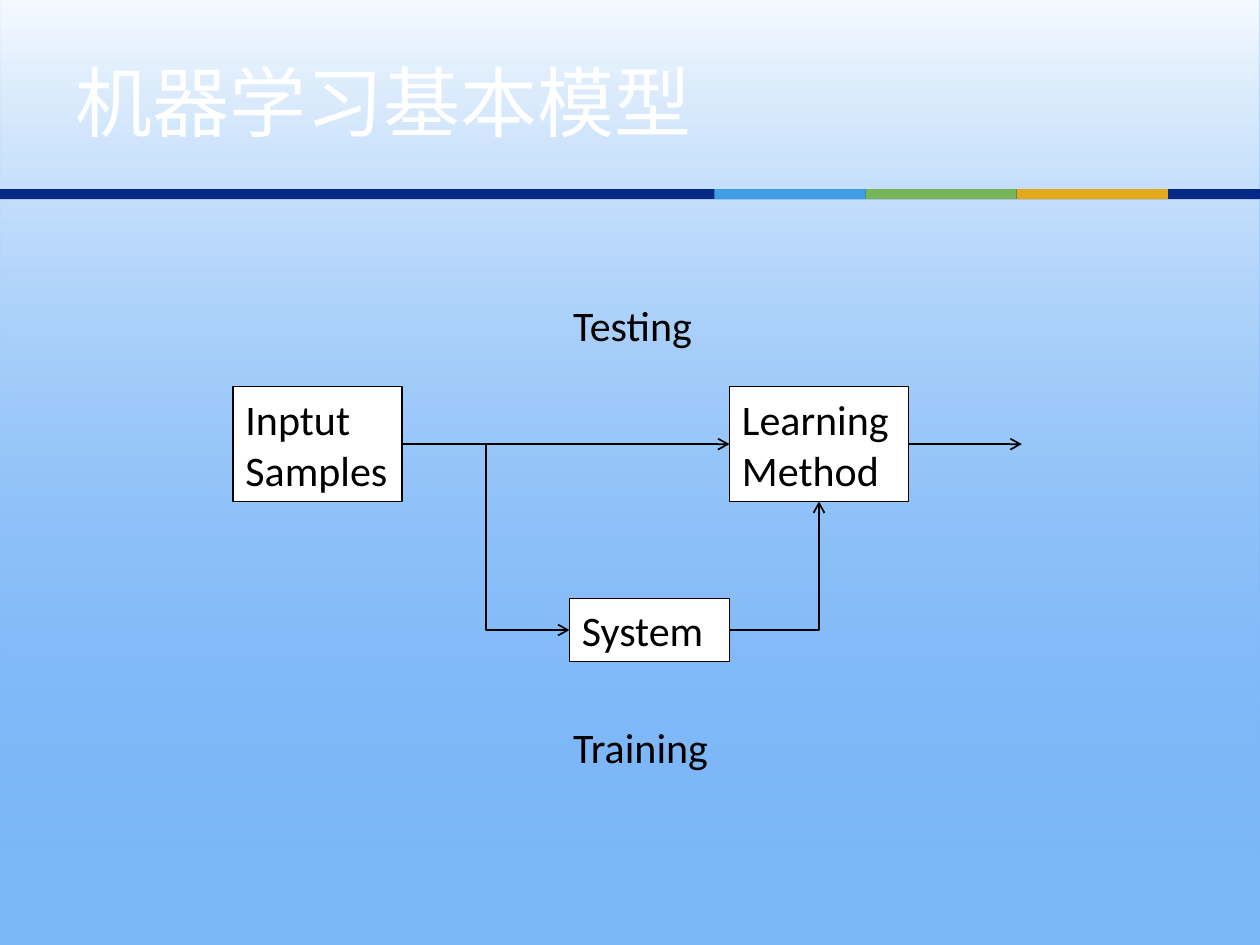
from dataclasses import dataclass

from lxml import etree
from pptx import Presentation
from pptx.dml.color import RGBColor as RGB
from pptx.enum.shapes import MSO_CONNECTOR as Link, MSO_SHAPE as Shape
from pptx.enum.text import MSO_ANCHOR as Anchor
from pptx.oxml.ns import qn
from pptx.util import Inches, Pt


@dataclass(frozen=True)
class Theme:
    sky: RGB = RGB.from_string("7CB7F8")
    white: RGB = RGB.from_string("FFFFFF")
    ink: RGB = RGB.from_string("000000")
    navy: RGB = RGB.from_string("042986")
    bands: tuple = tuple(map(RGB.from_string, ("3F9EE4", "77B559", "E4A81B")))
    font: str = "Calibri"
    title: Pt = Pt(44)
    body: Pt = Pt(24)
    frame: Pt = Pt(0.75)
    wire: Pt = Pt(1)


THEME = Theme()
TOP, LEFT, BOTTOM, RIGHT = range(4)  # connection sites of a rectangle


def add_rect(slide, box, fill=None):
    rect = slide.shapes.add_shape(Shape.RECTANGLE, *map(Inches, box))
    rect.shadow.inherit = False
    rect.line.fill.background()
    if fill is not None:
        rect.fill.solid()
        rect.fill.fore_color.rgb = fill
    return rect


def set_text(shape, text, size, color):
    frame = shape.text_frame
    frame.text = text
    frame.word_wrap = True
    para = frame.paragraphs[0]
    para.alignment = None
    font = para.runs[0].font
    font.name, font.size, font.color.rgb = THEME.font, size, color


def add_label(slide, box, text, size=THEME.body, color=THEME.ink):
    label = slide.shapes.add_textbox(*map(Inches, box))
    set_text(label, text, size, color)
    return label


def add_node(slide, box, text):
    node = add_rect(slide, box, THEME.white)
    node.line.color.rgb = THEME.ink
    node.line.width = THEME.frame
    set_text(node, text, THEME.body, THEME.ink)
    node.text_frame.paragraphs[0].alignment = 1
    return node


def add_arrow(slide, start, end, kind=Link.STRAIGHT):
    arrow = slide.shapes.add_connector(kind, *map(Inches, start + end))
    arrow.line.color.rgb = THEME.ink
    arrow.line.width = THEME.wire
    tail = etree.SubElement(arrow.line._get_or_add_ln(), qn("a:tailEnd"))
    tail.set("type", "arrow")
    etree.SubElement(arrow._element.spPr, qn("a:effectLst"))
    return arrow


def add_backdrop(slide, box):
    """Sky background that fades to white at the top of the box."""
    slide.background.fill.solid()
    slide.background.fill.fore_color.rgb = THEME.sky
    fill = add_rect(slide, box).fill
    fill.gradient()
    fill.gradient_angle = 90
    looks = ((0.01, THEME.sky, 0), (1, THEME.white, 92))
    for stop, (place, color, alpha) in zip(fill.gradient_stops, looks):
        stop.position = place
        stop.color.rgb = color
        tint = stop._gs.find(qn("a:srgbClr"))
        etree.SubElement(tint, qn("a:alpha")).set("val", str(alpha * 1000))


def add_stripe(slide, box):
    """Navy rule with three equal colour bands near its right end."""
    left, top, width, height = box
    add_rect(slide, box, THEME.navy)
    band = 0.12 * width
    for i, color in enumerate(THEME.bands):
        add_rect(slide, (left + 5.67 + i * band, top, band, height), color)


def add_title(slide, box, text):
    title = add_label(slide, box, text, THEME.title, THEME.white)
    title.text_frame.vertical_anchor = Anchor.MIDDLE


def add_flow(slide, box):
    """Testing path along the top, training path through the system below."""
    left, top, width, height = box
    row, tall = top + 0.74, 0.91
    mid = row + tall / 2
    low = top + 2.67
    source = add_node(slide, (left, row, 1.34, tall), "Inptut Samples")
    learner = add_node(slide, (left + 3.94, row, 1.42, tall), "Learning Method")
    system = add_node(slide, (left + 2.67, top + 2.42, 1.27, 0.5), "System")

    train = add_arrow(slide, (left + 1.34, mid), (left + 2.67, low), Link.ELBOW)
    train.begin_connect(source, RIGHT)
    train.end_connect(system, LEFT)
    test = add_arrow(slide, (left + 1.89, mid), (left + 3.94, mid))
    test.end_connect(learner, LEFT)
    result = add_arrow(slide, (left + 5.36, mid), (left + width, mid))
    result.begin_connect(learner, RIGHT)
    model = add_arrow(slide, (left + 3.94, low), (left + 4.65, row + tall), Link.ELBOW)
    model._element.spPr.find(qn("a:prstGeom")).set("prst", "bentConnector2")
    model.begin_connect(system, RIGHT)
    model.end_connect(learner, BOTTOM)

    for text, y in (("Training", top + height - 0.5), ("Testing", top)):
        add_label(slide, (left + 2.6, y, 1.41, 0.5), text)


def main():
    deck = Presentation()
    deck.slide_width, deck.slide_height = Inches(10), Inches(7.5)
    slide = deck.slides.add_slide(deck.slide_layouts[6])
    add_backdrop(slide, (0, 0, 10, 6.88))
    add_stripe(slide, (0, 1.5, 10, 0.08))
    add_title(slide, (0.5, 0.2, 9, 1.2), "机器学习基本模型")
    add_flow(slide, (1.85, 2.33, 6.26, 3.85))
    deck.save("out.pptx")


if __name__ == "__main__":
    main()
